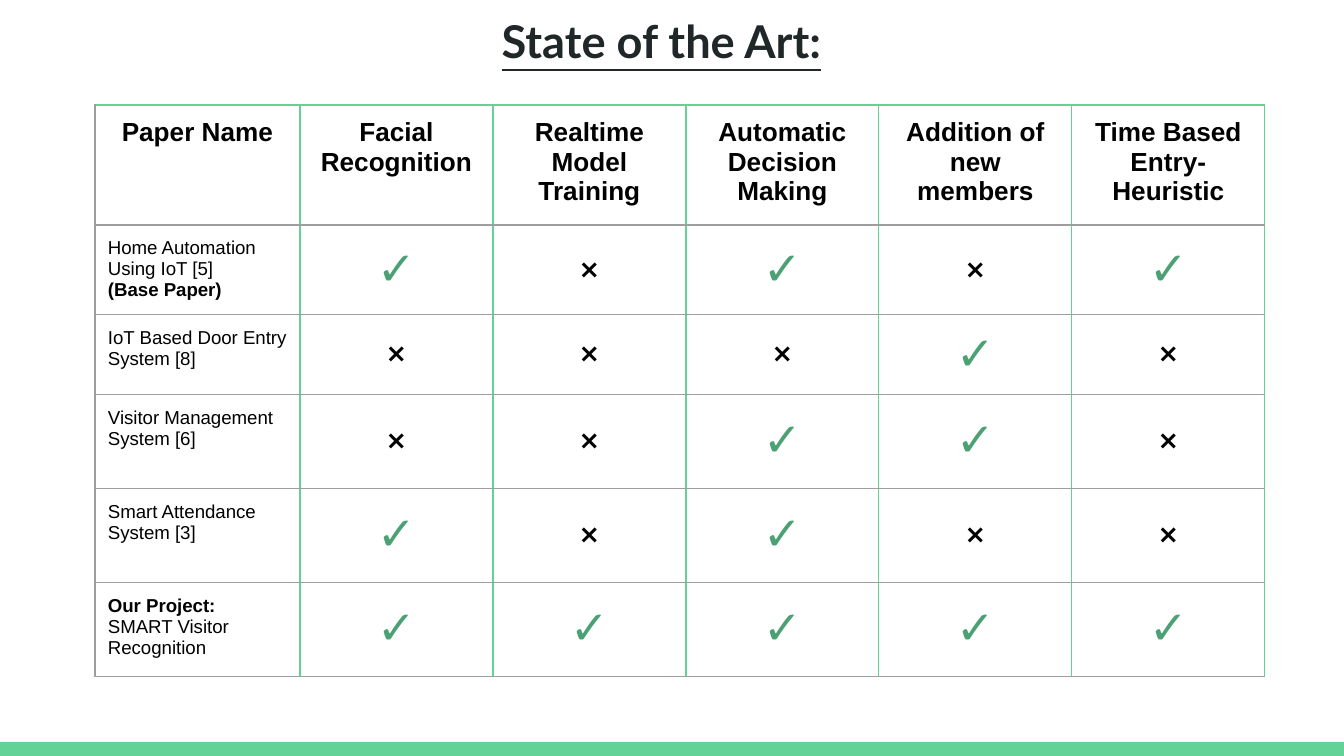
"""Builds a slide that compares papers by feature in a table of ticks and crosses."""
from dataclasses import dataclass

from lxml.etree import SubElement
from pptx import Presentation
from pptx.dml.color import RGBColor
from pptx.enum.shapes import MSO_SHAPE as Shape
from pptx.enum.text import MSO_ANCHOR as Anchor, MSO_AUTO_SIZE as AutoSize, PP_ALIGN as Align
from pptx.oxml.ns import qn
from pptx.util import Emu, Pt

EMU_PER_PX = 914400 / 134.4


@dataclass(frozen=True)
class Style:
    font: str
    size: float
    color: str
    bold: bool = False
    underline: bool = False


@dataclass(frozen=True)
class Theme:
    accent: str = "63D297"
    rule: str = "9E9E9E"
    rule_width: float = 0.75
    inset: int = 13
    title: Style = Style("Lato", 24.2, "202729", True, True)
    header: Style = Style("Arial", 14, "000000", True)
    label: Style = Style("Arial", 10, "000000")
    strong: Style = Style("Arial", 10, "000000", True)
    tick: Style = Style("Comic Neue", 25, "4BA173", True)
    cross: Style = Style("Arial", 14, "000000")


@dataclass(frozen=True)
class Paper:
    label: str
    marks: str
    height: int
    strong: str = ""


THEME = Theme()
HEADERS = ("Paper Name", "Facial Recognition", "Realtime Model Training",
           "Automatic Decision Making", "Addition of new members", "Time Based Entry-Heuristic")
HEADER_HEIGHT = 120
COLUMN_WIDTHS = (205,) + (193,) * 5
PAPERS = (
    Paper("Home Automation Using IoT [5]\v(Base Paper)", "✓❌✓❌✓", 90, "(Base Paper)"),
    Paper("IoT Based Door Entry System [8]", "❌❌❌✓❌", 80),
    Paper("Visitor Management System [6]", "❌❌✓✓❌", 94),
    Paper("Smart Attendance System [3]", "✓❌✓❌❌", 94),
    Paper("Our Project:\nSMART Visitor Recognition", "✓✓✓✓✓", 94, "Our Project:"),
)


def px(length: int) -> Emu:
    return Emu(round(length * EMU_PER_PX))


def format_span(span, style: Style) -> None:
    font = span.font
    font.name, font.size = style.font, Pt(style.size)
    font.bold, font.underline = style.bold, style.underline
    font.color.rgb = RGBColor.from_string(style.color)


def write(frame, text: str, style: Style, align: Align, strong: str = "") -> None:
    frame.text = text
    for para in frame.paragraphs:
        para.alignment = align
        for span in para.runs:
            format_span(span, THEME.strong if span.text == strong else style)


def set_insets(box) -> None:
    box.margin_left = box.margin_right = px(THEME.inset)
    box.margin_top = box.margin_bottom = px(THEME.inset)


def draw_borders(cell, row: int, column: int) -> None:
    colors = {
        "L": THEME.accent if column else THEME.rule,
        "R": THEME.accent,
        "T": THEME.rule if row else THEME.accent,
        "B": THEME.rule,
    }
    properties = cell._tc.get_or_add_tcPr()
    for side, color in colors.items():
        line = SubElement(properties, qn(f"a:ln{side}"), w=str(Pt(THEME.rule_width)))
        fill = SubElement(line, qn("a:solidFill"))
        SubElement(fill, qn("a:srgbClr"), val=color)


def fill_cell(cell, row: int, column: int) -> None:
    set_insets(cell)
    draw_borders(cell, row, column)
    cell.fill.background()
    cell.vertical_anchor = Anchor.MIDDLE if row and column else Anchor.TOP
    if row == 0:
        write(cell.text_frame, HEADERS[column], THEME.header, Align.CENTER)
    elif column == 0:
        paper = PAPERS[row - 1]
        write(cell.text_frame, paper.label, THEME.label, Align.LEFT, paper.strong)
    else:
        mark = PAPERS[row - 1].marks[column - 1]
        write(cell.text_frame, mark, THEME.tick if mark == "✓" else THEME.cross, Align.CENTER)


def add_comparison(page, left: int, top: int) -> None:
    heights = (HEADER_HEIGHT, *(paper.height for paper in PAPERS))
    table = page.shapes.add_table(len(heights), len(COLUMN_WIDTHS), px(left), px(top),
                                  px(sum(COLUMN_WIDTHS)), px(sum(heights))).table
    table.first_row = table.horz_banding = False
    for column, width in zip(table.columns, COLUMN_WIDTHS):
        column.width = px(width)
    for row, height in enumerate(heights):
        table.rows[row].height = px(height)
        for column in range(len(COLUMN_WIDTHS)):
            fill_cell(table.cell(row, column), row, column)


def add_footer_bar(page) -> None:
    bar = page.shapes.add_shape(Shape.RECTANGLE, 0, px(742), px(1344), px(14))
    bar.shadow.inherit = False
    bar.fill.solid()
    bar.fill.fore_color.rgb = RGBColor.from_string(THEME.accent)
    bar.line.fill.background()


def place_title(page) -> None:
    title = page.shapes.title
    title.left, title.top, title.width, title.height = px(35), px(0), px(1253), px(85)
    frame = title.text_frame
    set_insets(frame)
    frame.word_wrap = True
    frame.auto_size = AutoSize.NONE
    frame.vertical_anchor = Anchor.TOP
    write(frame, "State of the Art:", THEME.title, Align.CENTER)


def main() -> None:
    deck = Presentation()
    deck.slide_width, deck.slide_height = px(1344), px(756)
    page = deck.slides.add_slide(deck.slide_layouts[5])
    add_footer_bar(page)
    place_title(page)
    add_comparison(page, 95, 105)
    deck.save("out.pptx")


if __name__ == "__main__":
    main()
